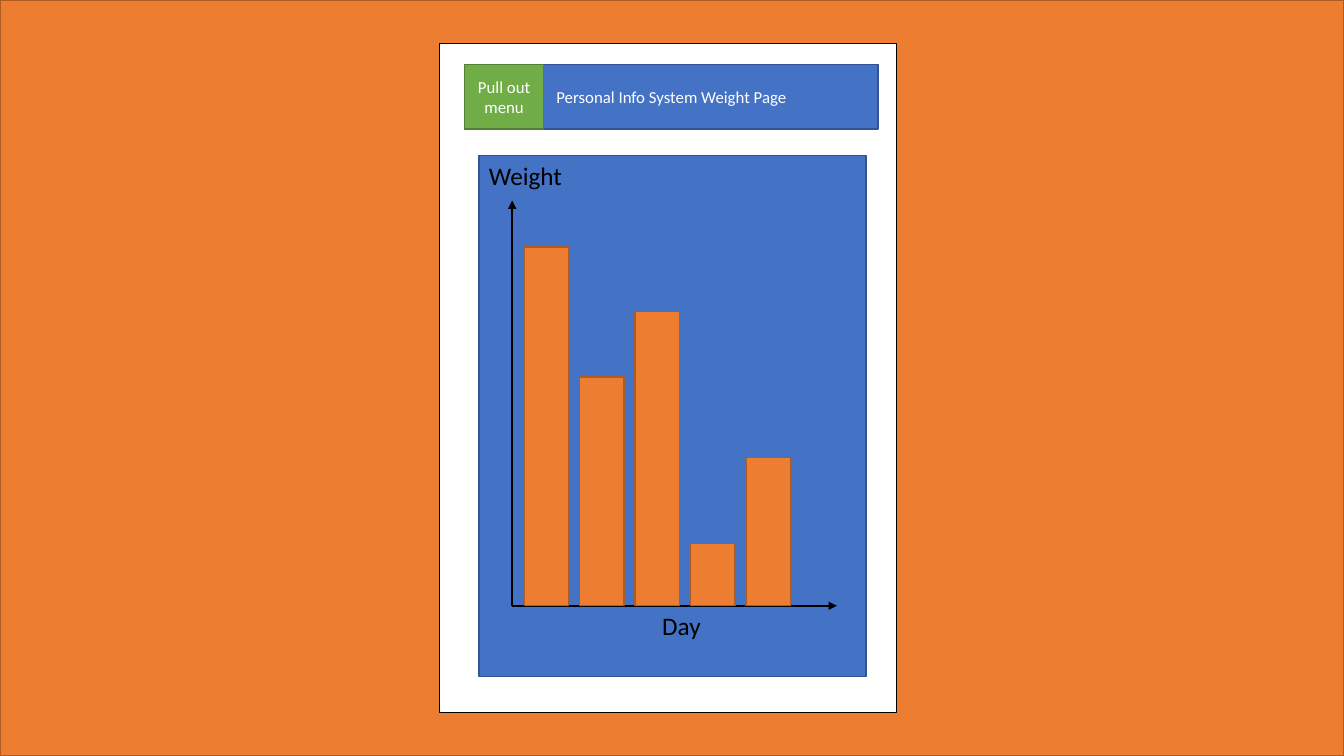
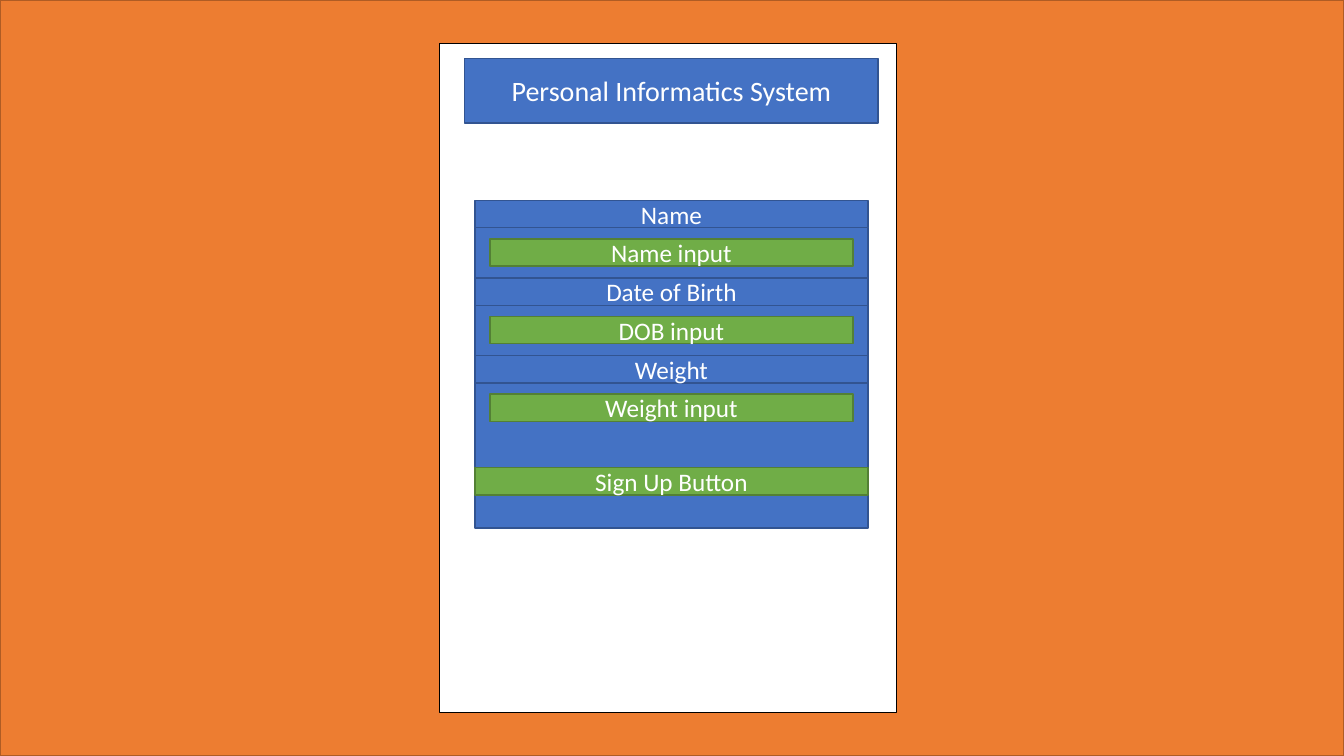
from lxml.etree import SubElement
from pptx import Presentation
from pptx.dml.color import RGBColor
from pptx.enum.shapes import MSO_CONNECTOR as Connector, MSO_SHAPE as Shape
from pptx.enum.text import MSO_ANCHOR as Anchor, PP_ALIGN as Align
from pptx.oxml.ns import qn
from pptx.util import Inches, Pt

# Shared look: (fill, outline) pairs and font
ORANGE = ("ED7D31", "AF5C24")
BLUE = ("4472C4", "325491")
GREEN = ("70AD47", "538035")
PAGE = ("FFFFFF", "000000")
BLACK, WHITE = "000000", "FFFFFF"
FONT = "Calibri"

SLIDE_W, SLIDE_H = 13.33, 7.5
HEADER_X, HEADER_W, HEADER_H = 4.61, 4.1, 0.64


def color(hex_value):
    return RGBColor.from_string(hex_value)


def write(frame, text, size, text_color, align):
    frame.word_wrap = True
    paragraph = frame.paragraphs[0]
    paragraph.text = text
    paragraph.alignment = align
    paragraph.font.name = FONT
    paragraph.font.size = Pt(size)
    paragraph.font.color.rgb = color(text_color)


def add_box(shapes, x, y, w, h, style, text="", size=18):
    box = shapes.add_shape(Shape.RECTANGLE, Inches(x), Inches(y), Inches(w), Inches(h))
    fill, outline = style
    box.shadow.inherit = False
    box.fill.solid()
    box.fill.fore_color.rgb = color(fill)
    box.line.color.rgb = color(outline)
    box.line.width = Pt(1)
    if text:
        box.text_frame.vertical_anchor = Anchor.MIDDLE
        write(box.text_frame, text, size, WHITE, Align.CENTER)


def add_label(shapes, x, y, w, h, text):
    label = shapes.add_textbox(Inches(x), Inches(y), Inches(w), Inches(h))
    write(label.text_frame, text, 18, BLACK, Align.LEFT)


def add_axis(shapes, x1, y1, x2, y2):
    axis = shapes.add_connector(
        Connector.STRAIGHT, Inches(x1), Inches(y1), Inches(x2), Inches(y2))
    axis.line.color.rgb = color(BLACK)
    axis.line.width = Pt(1.5)
    SubElement(axis.line._get_or_add_ln(), qn("a:tailEnd"), type="triangle")
    SubElement(axis._element.spPr, qn("a:effectLst"))


def add_screen(prs, title, header_y, title_size):
    """Backdrop, phone page and header bar common to every screen."""
    shapes = prs.slides.add_slide(prs.slide_layouts[6]).shapes
    add_box(shapes, 0, 0, SLIDE_W, SLIDE_H, ORANGE)
    add_box(shapes, 4.36, 0.43, 4.53, 6.64, PAGE)
    add_box(shapes, HEADER_X, header_y, HEADER_W, HEADER_H, BLUE, title, title_size)
    return shapes


def build_weight_screen(prs):
    header_y = 0.64
    shapes = add_screen(prs, "Personal Info System Weight Page", header_y, 12)
    add_box(shapes, HEADER_X, header_y, 0.78, HEADER_H, GREEN, "Pull out menu", 12)

    # Sketched graph: panel, axes, axis names
    graph = shapes.add_group_shape().shapes
    panel_x, panel_y = 4.75, 1.54
    origin_x, origin_y = 5.08, 6.01
    add_box(graph, panel_x, panel_y, 3.84, 5.17, BLUE)
    add_axis(graph, origin_x, origin_y, origin_x, 1.99)
    add_axis(graph, origin_x, origin_y, 8.3, origin_y)
    add_label(graph, panel_x, panel_y, 2.36, 0.4, "Weight")
    add_label(graph, 6.47, origin_y, 0.9, 0.4, "Day")

    # One bar per day, standing on the day axis
    for day, height in enumerate([3.56, 2.27, 2.92, 0.62, 1.47]):
        add_box(graph, 5.2 + 0.55 * day, origin_y - height, 0.44, height, ORANGE)


def build_sign_up_screen(prs):
    shapes = add_screen(prs, "Personal Informatics System", 0.58, 20)
    form_x, form_y, form_w = 4.71, 1.99, 3.9
    row_h, field_pitch = 0.27, 0.77
    input_inset, input_drop = 0.15, 0.38

    # Form panel, then each field's heading with its input below
    add_box(shapes, form_x, form_y + row_h, form_w, 2.98, BLUE)
    fields = [("Name", "Name input"), ("Date of Birth", "DOB input"),
              ("Weight", "Weight input")]
    for i, (heading, entry) in enumerate(fields):
        y = form_y + i * field_pitch
        add_box(shapes, form_x, y, form_w, row_h, BLUE, heading)
        add_box(shapes, form_x + input_inset, y + input_drop,
                form_w - 2 * input_inset, row_h, GREEN, entry)
    add_box(shapes, form_x, 4.64, form_w, row_h, GREEN, "Sign Up Button")


def main():
    prs = Presentation()
    prs.slide_width, prs.slide_height = Inches(SLIDE_W), Inches(SLIDE_H)
    build_weight_screen(prs)
    build_sign_up_screen(prs)
    prs.save("out.pptx")


if __name__ == "__main__":
    main()
